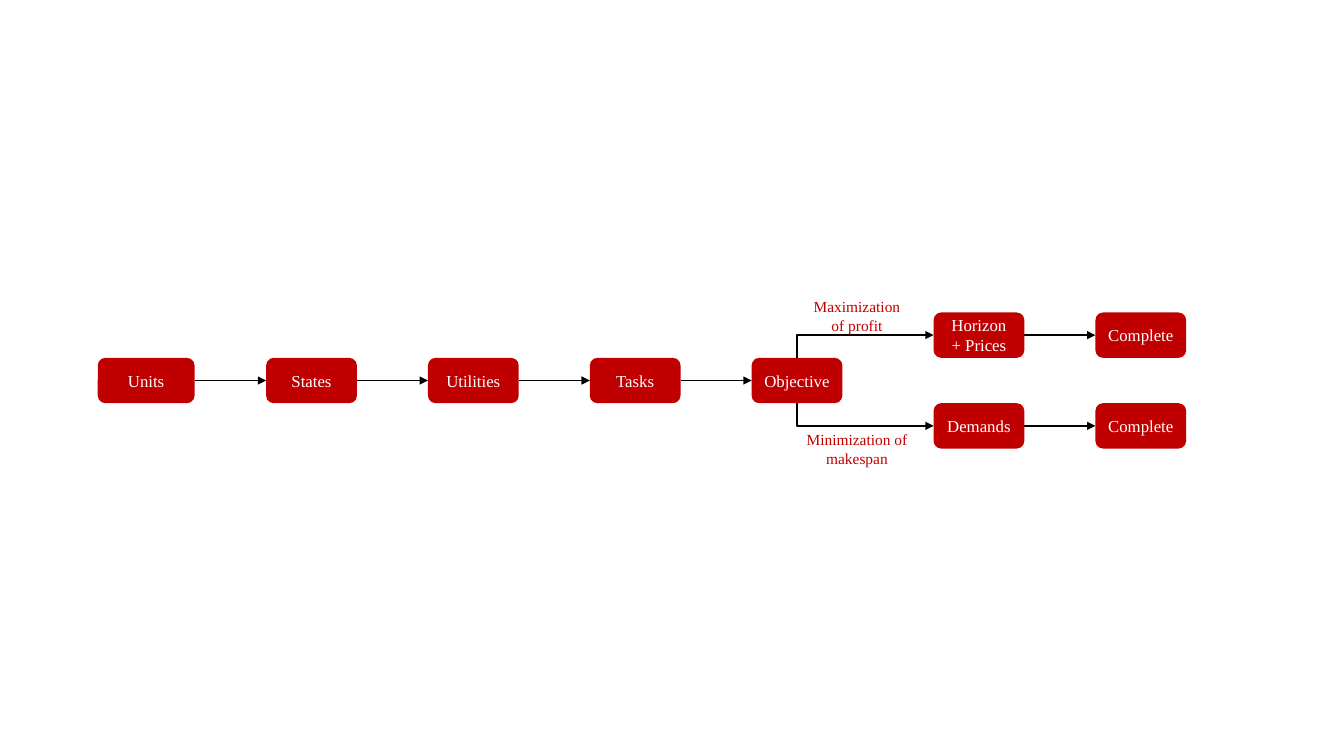
from pptx import Presentation
from pptx.dml.color import RGBColor as RGB
from pptx.enum.shapes import MSO_CONNECTOR as LINK, MSO_SHAPE as SHAPE
from pptx.enum.text import MSO_ANCHOR as ANCHOR, PP_ALIGN as ALIGN
from pptx.oxml.ns import qn
from pptx.util import Inches, Pt
from lxml import etree

THEME = {
    "red": RGB(0xC0, 0, 0),
    "line": RGB(0, 0, 0),
    "step": {"name": "Times New Roman", "size": Pt(12)},
    "label": {"name": "Times New Roman", "size": Pt(11)},
    "on_red": RGB(255, 255, 255),
}

# Grid of the flow, in inches
STEP_W, STEP_H, PITCH = 0.9, 0.45, 1.605
MAIN_X, MAIN_Y = 2.64, 3.55
BRANCH_X = 9.26

prs = Presentation()
prs.slide_width, prs.slide_height = Inches(13.33), Inches(7.5)
slide = prs.slides.add_slide(prs.slide_layouts[6])


def write(frame, text, font_format, color):
    frame.word_wrap = True
    paragraph = frame.paragraphs[0]
    paragraph.alignment = ALIGN.CENTER
    run = paragraph.add_run()
    run.text = text
    for key, value in font_format.items():
        setattr(run.font, key, value)
    run.font.color.rgb = color


def style_arrow(arrow):
    arrow.line.color.rgb = THEME["line"]
    arrow.line.width = Pt(1)
    etree.SubElement(arrow.line._get_or_add_ln(), qn("a:tailEnd"), type="triangle")
    etree.SubElement(arrow._element.spPr, qn("a:effectLst"))


# Rows of steps: the common path, then one row for each objective
rows = [
    [("Units", 0.97, 0.96)]
    + [(name, MAIN_X + i * PITCH, STEP_W)
       for i, name in enumerate(["States", "Utilities", "Tasks", "Objective"])],
    [("Horizon + Prices", BRANCH_X, STEP_W), ("Complete", BRANCH_X + PITCH, STEP_W)],
    [("Demands", BRANCH_X, STEP_W), ("Complete", BRANCH_X + PITCH, STEP_W)],
]
for row, top in zip(rows, [MAIN_Y, MAIN_Y - STEP_H, MAIN_Y + STEP_H]):
    previous = None
    for name, left, width in row:
        step = slide.shapes.add_shape(SHAPE.ROUNDED_RECTANGLE, Inches(left),
                                      Inches(top), Inches(width), Inches(STEP_H))
        step.shadow.inherit = False
        step.fill.solid()
        step.fill.fore_color.rgb = THEME["red"]
        step.line.fill.background()
        step.text_frame.vertical_anchor = ANCHOR.MIDDLE
        write(step.text_frame, name, THEME["step"], THEME["on_red"])
        if previous:
            arrow = slide.shapes.add_connector(LINK.STRAIGHT, 0, 0, 0, 0)
            arrow.begin_connect(previous, 3)
            arrow.end_connect(step, 1)
            style_arrow(arrow)
        previous = step

# Branches from the objective: a one-bend arrow is a tall box turned on its side
start_x = MAIN_X + 3 * PITCH + STEP_W / 2
run_length, drop = BRANCH_X - start_x, STEP_H / 2
center_x = start_x + run_length / 2
branches = [
    ("Maximization of profit", 2.9, MAIN_Y - drop / 2, 1, 90),
    ("Minimization of makespan", 4.22, MAIN_Y + STEP_H + drop / 2, -1, 270),
]
for label, label_top, center_y, side, angle in branches:
    reach = side * run_length / 2
    bend = slide.shapes.add_connector(
        LINK.ELBOW, Inches(center_x + drop / 2), Inches(center_y + reach),
        Inches(center_x - drop / 2), Inches(center_y - reach))
    bend._element.spPr.find(qn("a:prstGeom")).set("prst", "bentConnector2")
    bend._element.spPr.find(qn("a:xfrm")).set("rot", str(angle * 60000))
    style_arrow(bend)

    caption = slide.shapes.add_textbox(Inches(7.9), Inches(label_top),
                                       Inches(1.2), Inches(0.47))
    write(caption.text_frame, label, THEME["label"], THEME["red"])

prs.save("out.pptx")
